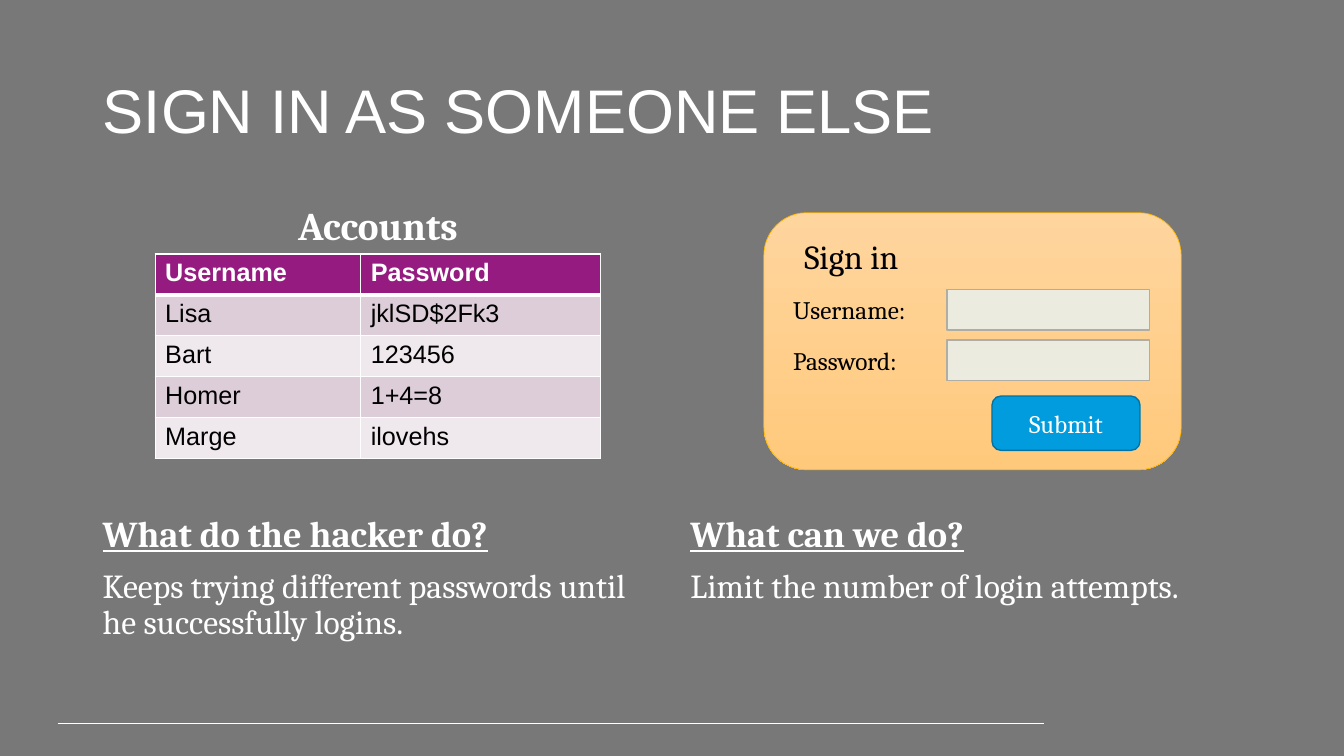
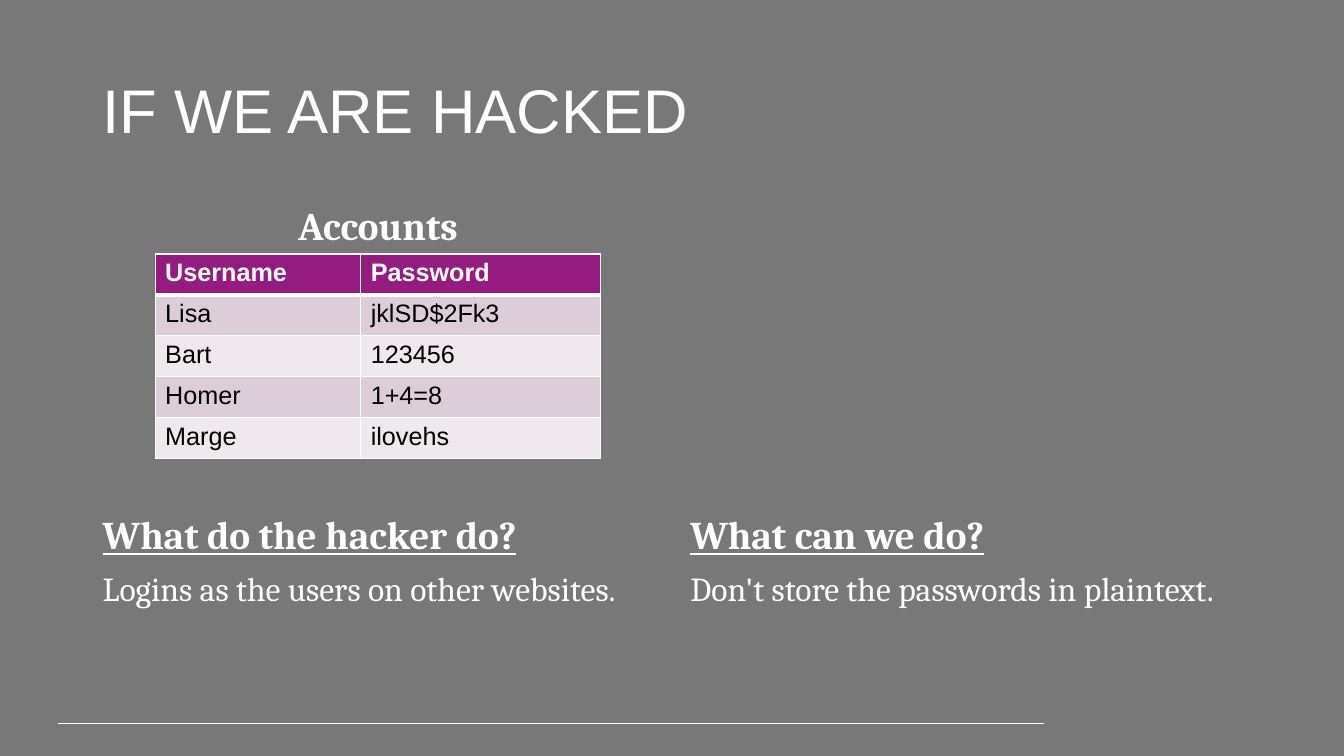
from lxml import etree
from pptx import Presentation
from pptx.dml.color import RGBColor
from pptx.enum.shapes import MSO_CONNECTOR, MSO_SHAPE
from pptx.enum.text import MSO_ANCHOR, PP_ALIGN
from pptx.oxml.ns import qn
from pptx.util import Cm, Pt

LEFT, CENTER = PP_ALIGN.LEFT, PP_ALIGN.CENTER
TOP, MIDDLE = MSO_ANCHOR.TOP, MSO_ANCHOR.MIDDLE
RECT, ROUND = MSO_SHAPE.RECTANGLE, MSO_SHAPE.ROUNDED_RECTANGLE
STRAIGHT = MSO_CONNECTOR.STRAIGHT

GREY, WHITE, BLACK = "787878", "FFFFFF", "000000"
PURPLE, BANDS = "961B81", ("DDCDD8", "EFE8ED")
HEAD_FONT, BODY_FONT = "Arial", "Cambria"
COLUMNS, COLUMN_WIDTH = (2.34, 17.15), 14.4
ACCOUNTS = [
    ("Username", "Password"),
    ("Lisa", "jklSD$2Fk3"),
    ("Bart", "123456"),
    ("Homer", "1+4=8"),
    ("Marge", "ilovehs"),
]


def rgb(value):
    """Turn a hex string into a colour."""
    return RGBColor.from_string(value)


class Deck:
    """Hold the shared style and the current slide."""

    def __init__(self):
        """Start a wide presentation on a grey background."""
        self.prs = Presentation()
        self.prs.slide_width, self.prs.slide_height = Cm(33.87), Cm(19.05)
        fill = self.prs.slide_master.background.fill
        fill.solid()
        fill.fore_color.rgb = rgb(GREY)
        self.s = None

    def add_run(self, p, text, size, color=WHITE, font=BODY_FONT, align=LEFT, **style):
        """Fill a paragraph with one formatted run."""
        p.alignment = align
        r = p.add_run()
        r.text = text
        formats = {"size": Pt(size), "name": font, "bold": False, **style}
        for name, value in formats.items():
            setattr(r.font, name, value)
        r.font.color.rgb = rgb(color)

    def slide(self, title):
        """Add a slide with its title and footer rule."""
        self.s = self.prs.slides.add_slide(self.prs.slide_layouts[5])
        sp = self.s.shapes.title
        box = {"left": 2.34, "top": 1.02, "width": 29.21, "height": 3.68}
        for name, value in box.items():
            setattr(sp, name, Cm(value))
        tf = sp.text_frame
        tf.vertical_anchor = MIDDLE
        self.add_run(tf.paragraphs[0], title, 44, font=HEAD_FONT)
        tf.paragraphs[0].line_spacing = 0.9
        self.rule(1.45, 18.24, 26.31)

    def rule(self, x1, y, x2):
        """Draw a thin horizontal line."""
        line = self.s.shapes.add_connector(STRAIGHT, Cm(x1), Cm(y), Cm(x2), Cm(y))
        line.line.color.rgb = rgb(WHITE)
        line.line.width = Pt(0.75)
        etree.SubElement(line._element.spPr, qn("a:effectLst"))

    def text(self, x, y, w, h, lines, **spacing):
        """Add a text box with one paragraph per line."""
        tf = self.s.shapes.add_textbox(Cm(x), Cm(y), Cm(w), Cm(h)).text_frame
        tf.word_wrap = True
        tf.vertical_anchor = TOP
        for i, style in enumerate(lines):
            p = tf.add_paragraph() if i else tf.paragraphs[0]
            self.add_run(p, **style)
            for name, value in spacing.items():
                setattr(p, name, value)

    def body(self, x, y, w, h, lines):
        """Add a text box with the spacing of body text."""
        self.text(x, y, w, h, lines, line_spacing=0.9, space_before=Pt(10))

    def shape(self, kind, x, y, w, h, fills, line, weight=1):
        """Add a shape with a plain fill or a vertical gradient."""
        sp = self.s.shapes.add_shape(kind, Cm(x), Cm(y), Cm(w), Cm(h))
        sp.shadow.inherit = False
        if len(fills) == 1:
            sp.fill.solid()
            sp.fill.fore_color.rgb = rgb(fills[0])
        else:
            sp.fill.gradient()
            sp.fill.gradient_angle = 270
            for stop, color in zip(sp.fill.gradient_stops, fills):
                stop.color.rgb = rgb(color)
        sp.line.color.rgb = rgb(line)
        sp.line.width = Pt(weight)
        return sp

    def borders(self, cell, widths):
        """Draw white cell borders, given in points by side."""
        tc_pr = cell._tc.get_or_add_tcPr()
        for i, (side, width) in enumerate(widths.items()):
            ln = etree.Element(qn(f"a:ln{side}"), w=str(Pt(width)))
            fill = etree.SubElement(ln, qn("a:solidFill"))
            etree.SubElement(fill, qn("a:srgbClr"), val=WHITE)
            tc_pr.insert(i, ln)

    def table(self, x, y, widths, row_height, rows):
        """Add a banded table with a header row."""
        frame = self.s.shapes.add_table(
            len(rows), len(widths), Cm(x), Cm(y),
            Cm(sum(widths)), Cm(row_height * len(rows)))
        table = frame.table
        for column, width in zip(table.columns, widths):
            column.width = Cm(width)
        for i, row in enumerate(rows):
            table.rows[i].height = Cm(row_height)
            header = i == 0
            for j, value in enumerate(row):
                cell = table.cell(i, j)
                cell.fill.solid()
                cell.fill.fore_color.rgb = rgb(PURPLE if header else BANDS[(i - 1) % 2])
                self.add_run(cell.text_frame.paragraphs[0], value, 18,
                             WHITE if header else BLACK, HEAD_FONT, bold=header)
                self.borders(cell, {"L": 1, "R": 1, "T": 3 if i == 1 else 1,
                                    "B": 3 if header else 1})

    def accounts(self):
        """Add the captioned accounts table."""
        self.body(3.91, 5.08, 11.23, 1.35, [
            {"text": "Accounts", "size": 28, "align": CENTER, "bold": True}])
        self.table(3.91, 6.4, (5.18, 6.05), 1.03, ACCOUNTS)

    def answers(self, size, *answers):
        """Add the two questions with their answers, side by side."""
        questions = ("What do the hacker do?", "What can we do?")
        for x, question, answer in zip(COLUMNS, questions, answers):
            self.body(x, 12.88, COLUMN_WIDTH, 3.5, [
                {"text": question, "size": size, "bold": True, "underline": True},
                {"text": answer, "size": 24}])

    def sign_in(self):
        """Add the sign-in form."""
        self.shape(ROUND, 19.25, 5.36, 10.52, 6.48, ("FFD59E", "FFC97C"), "FFB500", 0.5)
        self.text(20.02, 5.82, 8.99, 1.27, [
            {"text": "Sign in", "size": 24, "color": BLACK}])
        for i, label in enumerate(("Username:", "Password:")):
            y = 7.3 + 1.27 * i
            self.text(19.74, y, 3.81, 1.02, [
                {"text": label, "size": 18, "color": BLACK}])
            self.shape(RECT, 23.87, y, 5.1, 1.02, ("EBEBDF",), "AEAEA5")
        button = self.shape(ROUND, 25, 9.98, 3.73, 1.37, ("009CDE",), "0073A4")
        tf = button.text_frame
        tf.vertical_anchor = MIDDLE
        self.add_run(tf.paragraphs[0], "Submit", 18, align=CENTER)


deck = Deck()

deck.slide("SIGN IN AS SOMEONE ELSE")
deck.accounts()
deck.sign_in()
deck.answers(26, "Keeps trying different passwords until he successfully logins.",
             "Limit the number of login attempts.")

deck.slide("IF WE ARE HACKED")
deck.accounts()
deck.answers(28, "Logins as the users on other websites.",
             "Don't store the passwords in plaintext.")

deck.prs.save("out.pptx")
